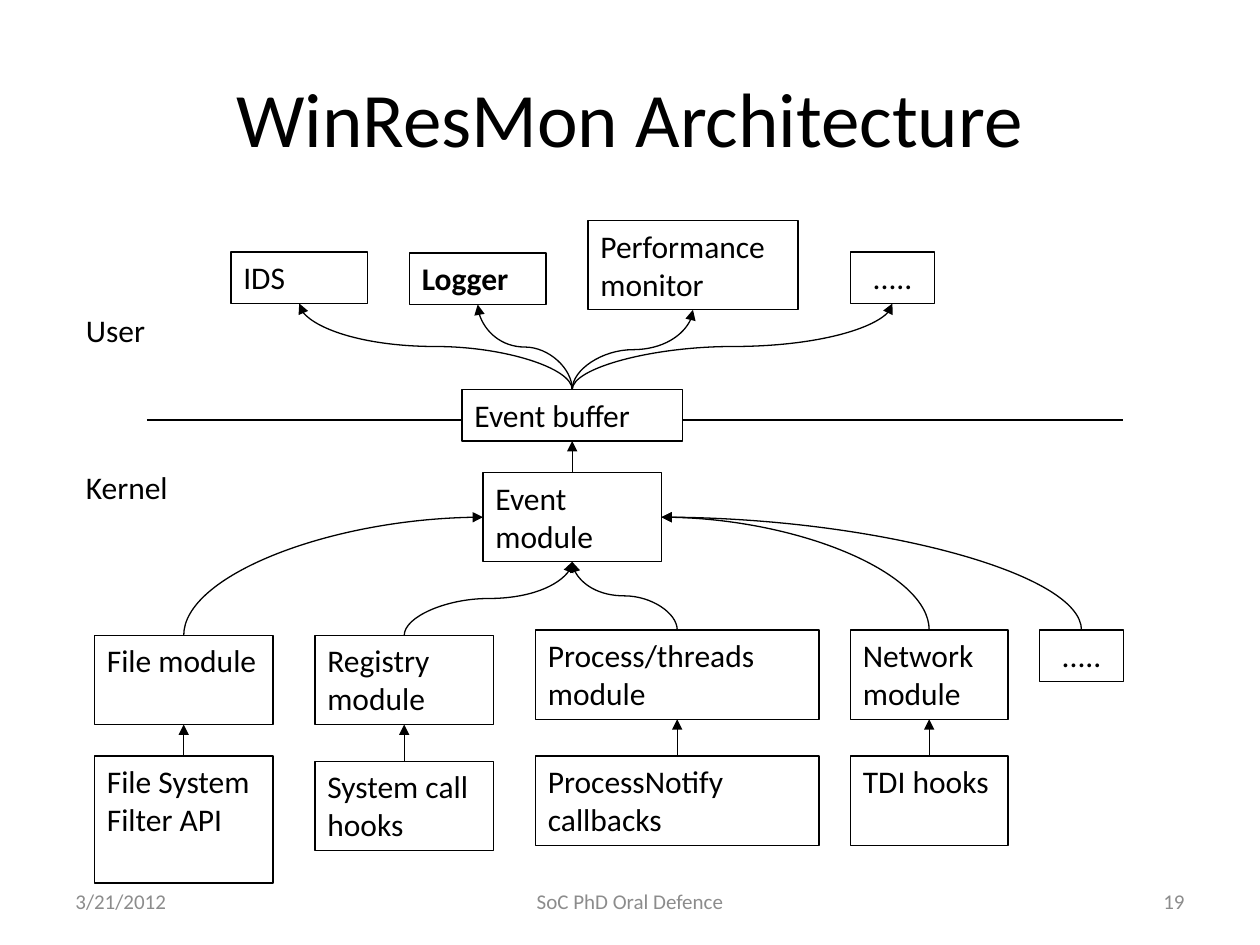
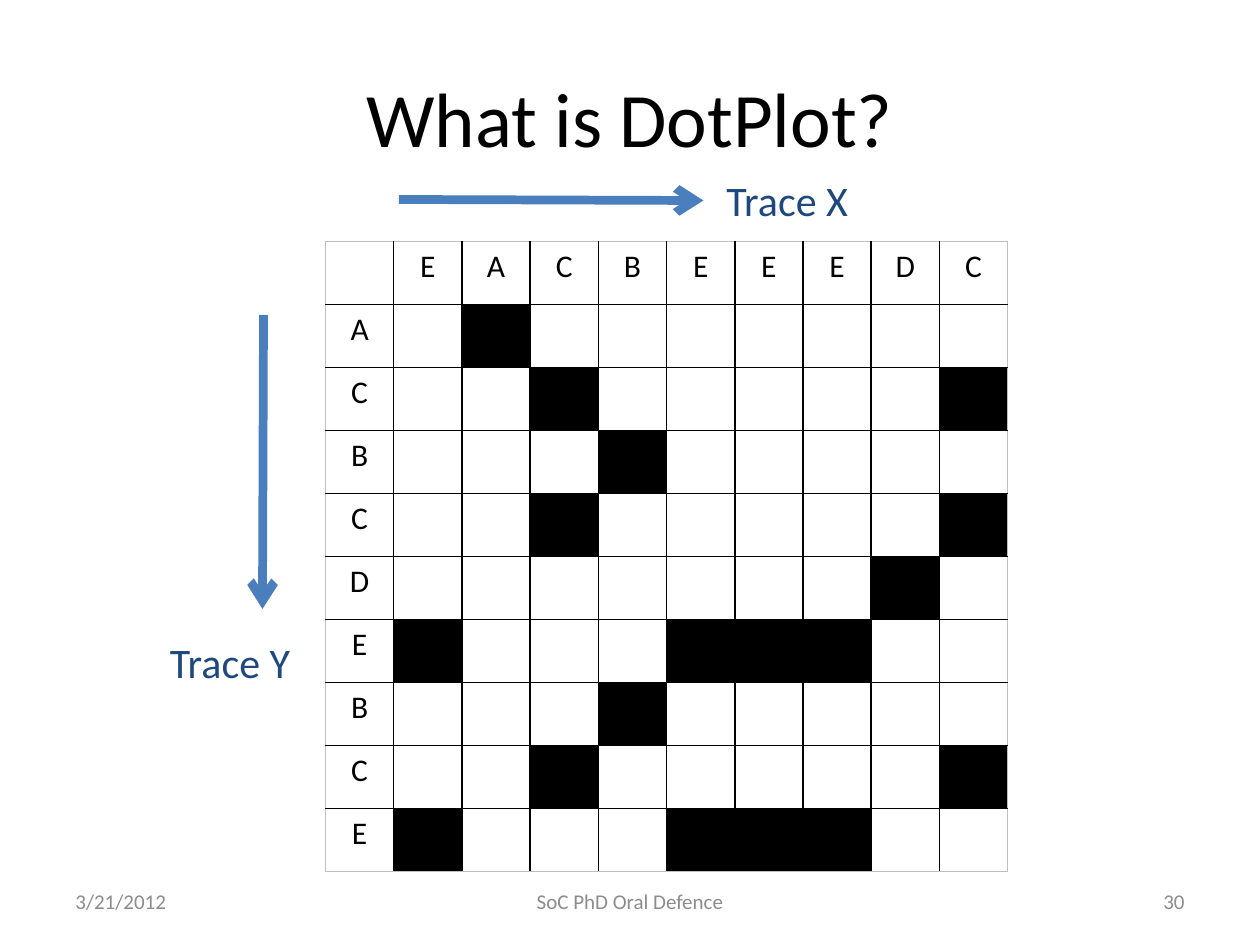
import pptx
import pptx.dml.color
import pptx.enum.shapes
import pptx.enum.text
import pptx.oxml
import pptx.oxml.ns
import pptx.util

COLUMNS, ROWS = 120, 90
FONT = "Calibri"
BLACK, WHITE, GREY, PALE = "000000", "FFFFFF", "8C8C8C", "BFBFBF"
ARROW_BLUE, LABEL_BLUE = "4B7EBC", "1F497D"
ALIGN = pptx.enum.text.PP_ALIGN
ANCHOR = pptx.enum.text.MSO_ANCHOR
CONNECTOR = pptx.enum.shapes.MSO_CONNECTOR
TOP, BOTTOM = 0, 2
ONE_LINE, TWO_LINES, THREE_LINES = 4.9, 8.5, 12.1


def color(value):
    return pptx.dml.color.RGBColor.from_string(value)


def add_xml(parent, markup):
    """Append an element written with the a: prefix."""
    namespace = pptx.oxml.ns.nsdecls("a")
    head, rest = markup.split(" ", 1)
    parent.append(pptx.oxml.parse_xml(f"{head} {namespace} {rest}"))


def write(frame, text, size=18, ink=BLACK, bold=False, align=ALIGN.LEFT,
          anchor=ANCHOR.TOP, wrap=True):
    frame.word_wrap = wrap
    frame.vertical_anchor = anchor
    para = frame.paragraphs[0]
    para.alignment = align
    span = para.add_run()
    span.text = text
    span.font.name = FONT
    span.font.size = pptx.util.Pt(size)
    span.font.bold = bold
    span.font.color.rgb = color(ink)


class Painter:
    """Holds the deck, its grid and the page being drawn."""

    def __init__(self):
        self.deck = pptx.Presentation()
        self.deck.slide_width = pptx.util.Inches(10)
        self.deck.slide_height = pptx.util.Inches(7.5)
        self.page = None

    def across(self, columns):
        return round(self.deck.slide_width * columns / COLUMNS)

    def down(self, rows):
        return round(self.deck.slide_height * rows / ROWS)

    def area(self, left, top, width, height):
        return (self.across(left), self.down(top),
                self.across(width), self.down(height))

    def new_page(self, title, number):
        self.page = self.deck.slides.add_slide(self.deck.slide_layouts[6])
        self.label(title, 6, 3.6, 108, 15, size=44, align=ALIGN.CENTER,
                   anchor=ANCHOR.MIDDLE)
        footers = (("3/21/2012", 6, 28, ALIGN.LEFT),
                   ("SoC PhD Oral Defence", 41, 38, ALIGN.CENTER),
                   (number, 86, 28, ALIGN.RIGHT))
        for text, left, width, align in footers:
            self.label(text, left, 83.4, width, 4.8, size=12, ink=GREY,
                       align=align, anchor=ANCHOR.MIDDLE)

    def label(self, text, left, top, width, height, **style):
        box = self.page.shapes.add_textbox(*self.area(left, top, width, height))
        write(box.text_frame, text, **style)

    def box(self, text, left, top, width, height, fill=None, **style):
        box = self.page.shapes.add_shape(
            pptx.enum.shapes.MSO_SHAPE.RECTANGLE,
            *self.area(left, top, width, height))
        box.shadow.inherit = False
        if fill:
            box.fill.solid()
            box.fill.fore_color.rgb = color(fill)
        else:
            box.fill.background()
        box.line.color.rgb = color(BLACK)
        box.line.width = pptx.util.Pt(0.75)
        write(box.text_frame, text, **style)
        return box

    def connector(self, kind, points, ink=BLACK, width=0.75, tip=None):
        line = self.page.shapes.add_connector(kind, *points)
        line.line.color.rgb = color(ink)
        line.line.width = pptx.util.Pt(width)
        if tip:
            add_xml(line.line._get_or_add_ln(), f'<a:tailEnd type="{tip}"/>')
        add_xml(line._element.spPr, "<a:effectLst />")
        return line

    def line(self, left, top, right, bottom, **style):
        points = (self.across(left), self.down(top),
                  self.across(right), self.down(bottom))
        return self.connector(CONNECTOR.STRAIGHT, points, **style)

    def join(self, lower, upper):
        arrow = self.line(0, 0, 1, 1, tip="triangle")
        arrow.begin_connect(lower, TOP)
        arrow.end_connect(upper, BOTTOM)

    def curve(self, lower, upper, into_side=False):
        """Rise from the top of one box to the bottom or near side of another."""
        start_x, start_y = lower.left + lower.width // 2, lower.top
        end_x, end_y = upper.left + upper.width // 2, upper.top + upper.height
        rightward = end_x > start_x
        if into_side:
            end_x = upper.left if rightward else upper.left + upper.width
            end_y = upper.top + upper.height // 2
        # The shape is laid on its side, then turned about its centre.
        middle_x, middle_y = (start_x + end_x) // 2, (start_y + end_y) // 2
        half_width, half_height = (start_y - end_y) // 2, abs(end_x - start_x) // 2
        if not rightward:
            half_width = -half_width
        arrow = self.connector(
            CONNECTOR.CURVE,
            (middle_x - half_width, middle_y - half_height,
             middle_x + half_width, middle_y + half_height), tip="triangle")
        properties = arrow._element.spPr
        turn = 270 if rightward else 90
        properties.find(pptx.oxml.ns.qn("a:xfrm")).set("rot", str(turn * 60000))
        if into_side:
            geometry = properties.find(pptx.oxml.ns.qn("a:prstGeom"))
            geometry.set("prst", "curvedConnector2")

    def dot_plot(self, across_trace, down_trace, left, top, width, height):
        """Black out each cell whose row and column letters agree."""
        row_letters, column_letters = " " + down_trace, " " + across_trace
        last_row, last_column = len(down_trace), len(across_trace)
        table = self.page.shapes.add_table(
            last_row + 1, last_column + 1,
            *self.area(left, top, width, height)).table
        table.first_row = table.horz_banding = False
        for row, row_letter in enumerate(row_letters):
            for column, column_letter in enumerate(column_letters):
                cell = table.cell(row, column)
                outer = {"L": column == 0, "R": column == last_column,
                         "T": row == 0, "B": row == last_row}
                for side, is_outer in outer.items():
                    self.border(cell, side, PALE if is_outer else BLACK,
                                0.5 if is_outer else 1)
                match = row and column and row_letter == column_letter
                cell.fill.solid()
                cell.fill.fore_color.rgb = color(BLACK if match else WHITE)
                if (row == 0) != (column == 0):
                    write(cell.text_frame, column_letter if column else row_letter,
                          align=ALIGN.CENTER)

    def border(self, cell, side, ink, width):
        add_xml(cell._tc.get_or_add_tcPr(),
                f'<a:ln{side} w="{pptx.util.Pt(width)}"><a:solidFill>'
                f'<a:srgbClr val="{ink}"/></a:solidFill></a:ln{side}>')


def draw_architecture(painter):
    painter.new_page("WinResMon Architecture", "19")
    painter.line(14, 40, 107, 40)
    painter.label("User", 7, 29, 11, 4.8)
    painter.label("Kernel", 7, 44, 12, 4.8)
    event_buffer = painter.box("Event buffer", 44, 37.1, 21, ONE_LINE, fill=WHITE)
    event_module = painter.box("Event module", 46, 45, 17, TWO_LINES)
    painter.join(event_module, event_buffer)

    consumers = (
        painter.box("IDS", 22, 24, 13, ONE_LINE),
        painter.box("Logger", 39, 24.1, 13, ONE_LINE, bold=True),
        painter.box("Performance monitor", 56, 21, 20, TWO_LINES),
        painter.box(".....", 81, 24, 8, ONE_LINE, align=ALIGN.CENTER))
    for consumer in consumers:
        painter.curve(event_buffer, consumer)

    # Module, its hook, left, width, module top, hook top, hook height, side entry
    sources = (
        ("File module", "File System Filter API", 9, 17, 60.5, 72, THREE_LINES, True),
        ("Registry module", "System call hooks", 30, 17, 60.5, 72.5, TWO_LINES, False),
        ("Process/threads module", "ProcessNotify callbacks",
         51, 27, 60, 72, TWO_LINES, False),
        ("Network module", "TDI hooks", 81, 15, 60, 72, TWO_LINES, True))
    for name, hook, left, width, top, hook_top, hook_height, into_side in sources:
        module = painter.box(name, left, top, width, TWO_LINES)
        painter.join(painter.box(hook, left, hook_top, width, hook_height), module)
        painter.curve(module, event_module, into_side)
    others = painter.box(".....", 99, 60, 8, ONE_LINE, align=ALIGN.CENTER)
    painter.curve(others, event_module, into_side=True)


def draw_dot_plot(painter):
    painter.new_page("What is DotPlot?", "30")
    painter.dot_plot("EACBEEEDC", "ACBCDEBCE", 31, 23, 65, 60)
    trace_arrow = {"ink": ARROW_BLUE, "width": 5, "tip": "arrow"}
    painter.line(38, 19, 67, 19.1, **trace_arrow)
    painter.line(25.1, 30, 25, 58, **trace_arrow)
    for text, left, top in (("Trace X", 68, 16), ("Trace Y", 15, 60)):
        painter.label(text, left, top, 14.2, 6, size=24, ink=LABEL_BLUE, wrap=False)


def main():
    painter = Painter()
    draw_architecture(painter)
    draw_dot_plot(painter)
    painter.deck.save("out.pptx")


if __name__ == "__main__":
    main()
